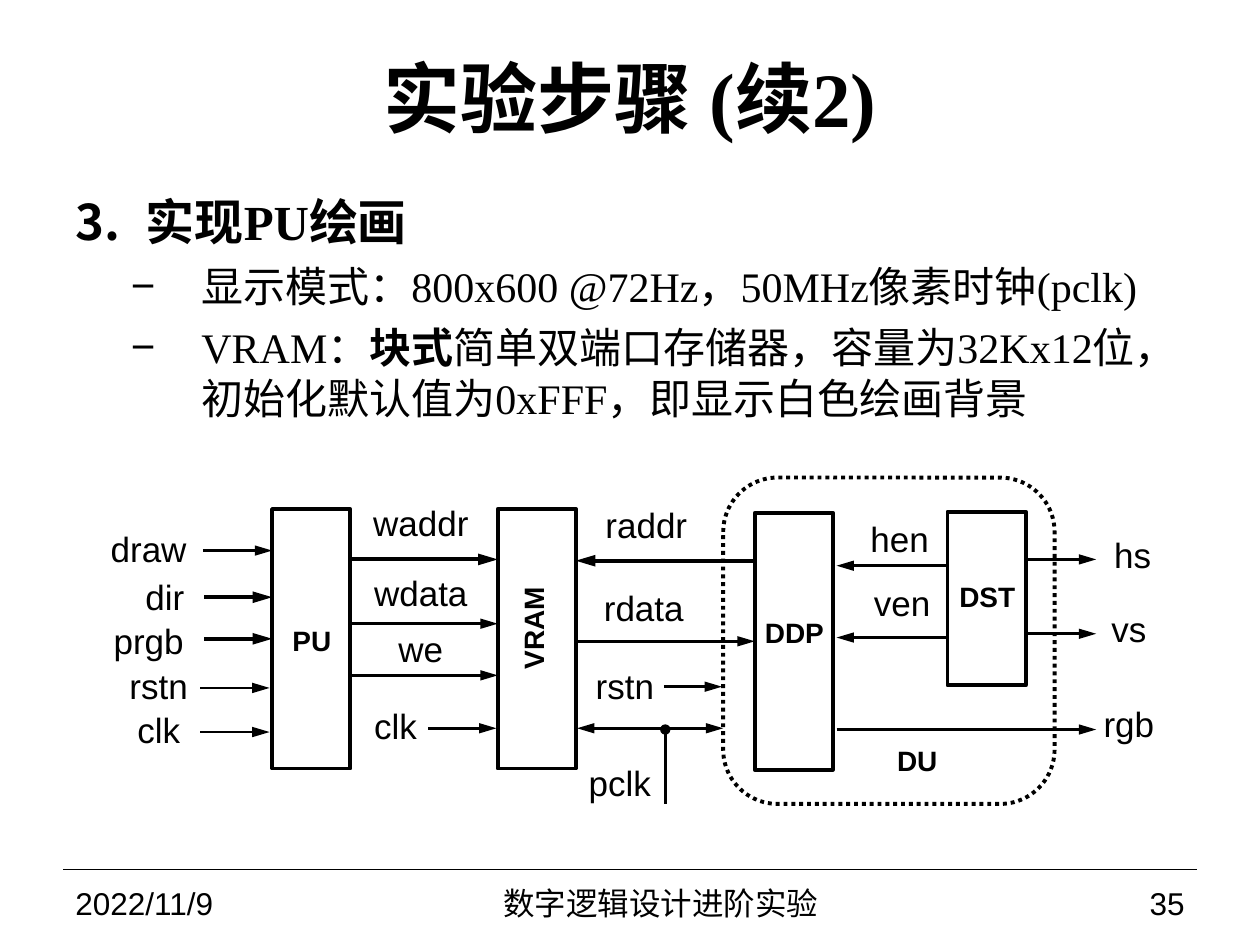
"""Build the slide on drawing with the PU, with its block diagram."""
from lxml.etree import SubElement
from pptx import Presentation
from pptx.dml.color import RGBColor
from pptx.enum.dml import MSO_LINE
from pptx.enum.shapes import MSO_CONNECTOR, MSO_SHAPE
from pptx.enum.text import MSO_ANCHOR, PP_ALIGN
from pptx.oxml.ns import qn
from pptx.util import Inches, Pt

COLORS = {"ink": "000000"}
INK = RGBColor.from_string(COLORS["ink"])

deck = Presentation()
deck.slide_width, deck.slide_height = Inches(10), Inches(7.5)
page = deck.slides.add_slide(deck.slide_layouts[6])


def add_text(text, place, size, font="Arial", bold=False, align=PP_ALIGN.CENTER, label=False):
    box = page.shapes.add_textbox(*map(Inches, place))
    frame = box.text_frame
    frame.word_wrap = not label
    frame.vertical_anchor = MSO_ANCHOR.MIDDLE
    if label:
        frame.margin_left = frame.margin_right = frame.margin_top = frame.margin_bottom = 0
    para = frame.paragraphs[0]
    para.alignment = align
    span = para.add_run()
    span.text = text
    span.font.size, span.font.name, span.font.bold = Pt(size), font, bold
    span.font.color.rgb = INK
    return box


def add_line(start, end, width=1.5, head=None, tail=None):
    line = page.shapes.add_connector(MSO_CONNECTOR.STRAIGHT, *map(Inches, start + end))
    line.line.color.rgb = INK
    line.line.width = Pt(width)
    outline = line.line._get_or_add_ln()
    for tag, kind in (("a:headEnd", head), ("a:tailEnd", tail)):
        if kind:
            length = "lg" if kind == "triangle" else "med"
            SubElement(outline, qn(tag), type=kind, w="med", len=length)
    SubElement(line._element.spPr, qn("a:effectLst"))
    return line


add_text("实验步骤 (续2)", (0.5, 0.3, 9, 0.93), 44, "Times New Roman", True)

body = page.shapes.add_textbox(Inches(0.5), Inches(1.47), Inches(8.75), Inches(2.15)).text_frame
body.word_wrap = True
points = [
    (0, [("实现PU绘画", True)]),
    (1, [("显示模式：800x600 @72Hz，50MHz像素时钟(pclk)", False)]),
    (1, [("VRAM：", False), ("块式", True),
         ("简单双端口存储器，容量为32Kx12位，初始化默认值为0xFFF，即显示白色绘画背景", False)]),
]
for index, (level, spans) in enumerate(points):
    para = body.add_paragraph() if index else body.paragraphs[0]
    para.level = level
    para.space_after = Pt(6)
    props = para._p.get_or_add_pPr()
    props.set("marL", str(Inches(1 if level else 0.56)))
    props.set("indent", str(Inches(-0.56)))
    if level:
        SubElement(props, qn("a:buFont"), typeface="Arial")
        SubElement(props, qn("a:buChar"), char="−")
    else:
        SubElement(props, qn("a:buAutoNum"), type="arabicPeriod", startAt="3")
    for text, bold in spans:
        span = para.add_run()
        span.text = text
        span.font.size, span.font.name, span.font.bold = Pt(24 if level else 28), "Times New Roman", bold
        span.font.color.rgb = INK

add_line((0.5, 6.9), (9.5, 6.9), 0.75)
add_text("2022/11/9", (0.5, 6.98, 2.33, 0.37), 18, align=PP_ALIGN.LEFT)
add_text("数字逻辑设计进阶实验", (2.83, 6.98, 4.83, 0.37), 18)
add_text("35", (7.75, 6.98, 1.75, 0.37), 18, align=PP_ALIGN.RIGHT)

blocks = {}
for name, kind, place in [
    ("PU", MSO_SHAPE.RECTANGLE, (2.16, 4.04, 0.62, 2.06)),
    ("VRAM", MSO_SHAPE.RECTANGLE, (3.95, 4.04, 0.62, 2.06)),
    ("DDP", MSO_SHAPE.RECTANGLE, (5.99, 4.07, 0.62, 2.04)),
    ("DST", MSO_SHAPE.RECTANGLE, (7.52, 4.06, 0.62, 1.38)),
    ("DU", MSO_SHAPE.ROUNDED_RECTANGLE, (5.74, 3.79, 2.63, 2.59)),
]:
    block = page.shapes.add_shape(kind, *map(Inches, place))
    block.shadow.inherit = False
    block.fill.background()
    block.line.color.rgb = INK
    block.line.width = Pt(2.25)
    blocks[name] = block
blocks["DU"].line.dash_style = MSO_LINE.ROUND_DOT

for name, left, top, width in [
    ("PU", 2.22, 4.9, 0.51), ("VRAM", 3.69, 4.8, 1.08), ("DDP", 5.97, 4.83, 0.67),
    ("DST", 7.51, 4.55, 0.65), ("DU", 7.02, 5.85, 0.52),
]:
    caption = add_text(name, (left, top, width, 0.37), 16, bold=True, label=True)
    if name == "VRAM":
        caption.rotation = 270

for text, left, top, width in [
    ("draw", 0.83, 4.14, 0.7), ("dir", 1.11, 4.52, 0.4), ("prgb", 0.83, 4.87, 0.7),
    ("rstn", 0.96, 5.23, 0.6), ("clk", 1.01, 5.58, 0.5),
    ("waddr", 2.89, 3.94, 0.9), ("wdata", 2.89, 4.49, 0.9), ("we", 3.09, 4.94, 0.5),
    ("clk", 2.89, 5.55, 0.5),
    ("raddr", 4.73, 3.95, 0.8), ("rdata", 4.71, 4.61, 0.8), ("rstn", 4.66, 5.23, 0.6),
    ("pclk", 4.62, 6, 0.6),
    ("hen", 6.84, 4.06, 0.6), ("ven", 6.86, 4.57, 0.6),
    ("hs", 8.74, 4.19, 0.5), ("vs", 8.71, 4.78, 0.5), ("rgb", 8.66, 5.53, 0.6),
]:
    add_text(text, (left, top, width, 0.42), 20, label=True)

for left, right, height, width in [
    (1.61, 2.16, 4.37, 1.5), (1.62, 2.16, 4.74, 2.25),
    (1.59, 2.14, 5.46, 1.5), (1.59, 2.14, 5.81, 1.5),
    (2.78, 3.95, 4.44, 2.25), (2.78, 3.95, 4.95, 1.5), (2.78, 3.95, 5.36, 1.5),
    (3.4, 3.94, 5.78, 1.5), (5.27, 5.73, 5.45, 1.5),
    (8.15, 8.7, 4.44, 1.5), (8.15, 8.7, 5.03, 1.5), (6.64, 8.7, 5.79, 1.5),
]:
    add_line((left, height), (right, height), width, tail="triangle")

for left, right, height, width in [
    (4.57, 5.98, 4.45, 2.25), (6.64, 7.53, 4.49, 1.5), (6.64, 7.51, 5.06, 1.5),
]:
    add_line((left, height), (right, height), width, head="triangle")

add_line((1.62, 5.07), (2.16, 5.07), 2.25, tail="triangle").end_connect(blocks["PU"], 1)
add_line((4.58, 5.09), (5.99, 5.09), tail="triangle").end_connect(blocks["DDP"], 1)
add_line((4.58, 5.78), (5.74, 5.78), head="triangle", tail="triangle")
add_line((5.28, 6.38), (5.28, 5.79), tail="oval")

deck.save("out.pptx")
